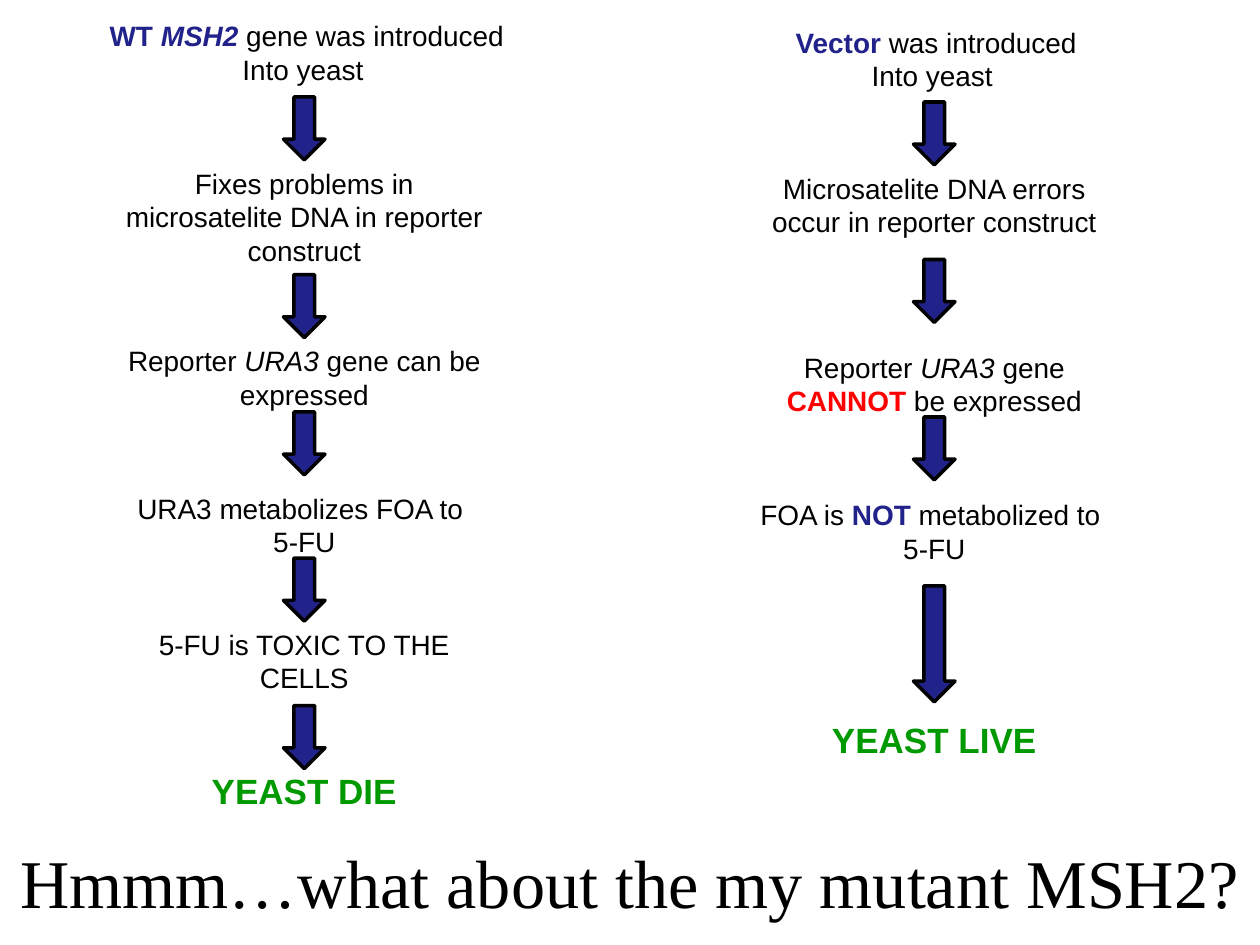
"""Build a slide comparing the yeast reporter assay with MSH2 and with the empty vector."""
from dataclasses import dataclass

from pptx import Presentation
from pptx.dml.color import RGBColor
from pptx.enum.shapes import MSO_SHAPE as Preset
from pptx.enum.text import MSO_ANCHOR as Anchor, MSO_AUTO_SIZE as AutoSize, PP_ALIGN as Align
from pptx.slide import Slide
from pptx.util import Inches, Pt

NAVY, BLACK, RED, GREEN = "22228B", "000000", "FF0000", "009900"
STEP_WIDTH, ARROW_WIDTH, ARROW_HEIGHT = 3.17, 0.33, 0.5


@dataclass(frozen=True)
class Phrase:
    text: str
    color: str = BLACK
    bold: bool = False
    italic: bool = False
    size: int = 16


@dataclass(frozen=True)
class Step:
    top: float
    lines: tuple[tuple[Phrase, ...], ...]
    height: float = 0.64
    width: float = STEP_WIDTH
    shift: float = 0
    wrap: bool = True


@dataclass(frozen=True)
class Arrow:
    top: float
    height: float = ARROW_HEIGHT


@dataclass(frozen=True)
class Pathway:
    left: float
    steps: tuple[Step, ...]
    arrows: tuple[Arrow, ...]


def outcome(top: float, text: str) -> Step:
    """Return the large green closing step."""
    return Step(top, ((Phrase(text, GREEN, bold=True, size=20),),), height=0.44)


URA3 = Phrase("URA3", italic=True)
INTO_YEAST = (Phrase("Into yeast "),)
PRODUCT = (Phrase("5-FU"),)

WILD_TYPE = Pathway(
    0.83,
    (
        Step(0.1, ((Phrase("WT ", NAVY, bold=True),
                    Phrase("MSH2", NAVY, bold=True, italic=True),
                    Phrase(" gene was introduced")), INTO_YEAST),
             width=3.33, shift=-0.06, wrap=False),
        Step(1.27, ((Phrase("Fixes problems in microsatelite DNA in reporter construct"),),),
             height=0.9),
        Step(2.68, ((Phrase("Reporter "), URA3, Phrase(" gene can be expressed")),)),
        Step(3.85, ((Phrase("URA3 metabolizes FOA to "),), PRODUCT)),
        Step(4.93, ((Phrase("5-FU is TOXIC TO THE CELLS"),),)),
        outcome(6.06, "YEAST DIE"),
    ),
    tuple(Arrow(top) for top in (0.77, 2.18, 3.27, 4.43, 5.6)),
)

VECTOR = Pathway(
    5.83,
    (
        Step(0.15, ((Phrase("Vector ", NAVY, bold=True), Phrase("was introduced")), INTO_YEAST),
             width=2.44, shift=0.38, wrap=False),
        Step(1.31, ((Phrase("Microsatelite DNA errors occur in reporter construct"),),)),
        Step(2.73, ((Phrase("Reporter "), URA3, Phrase(" gene "),
                     Phrase("CANNOT", RED, bold=True), Phrase(" be expressed")),)),
        Step(3.9, ((Phrase("FOA is "), Phrase("NOT", NAVY, bold=True),
                    Phrase(" metabolized to ")), PRODUCT)),
        outcome(5.65, "YEAST LIVE"),
    ),
    (Arrow(0.81), Arrow(2.06), Arrow(3.31), Arrow(4.65, 0.92)),
)


def rgb(color: str) -> RGBColor:
    """Convert a hex string to a colour."""
    return RGBColor.from_string(color)


def draw_question(slide: Slide, text: str) -> None:
    """Place the closing question in the title placeholder."""
    question = slide.shapes.title
    question.left, question.top = Inches(0), Inches(6.58)
    question.width, question.height = Inches(10), Inches(0.83)
    frame = question.text_frame
    frame.text = text
    frame.auto_size = AutoSize.NONE
    frame.vertical_anchor = Anchor.MIDDLE
    paragraph = frame.paragraphs[0]
    paragraph.alignment = Align.CENTER
    font = paragraph.runs[0].font
    font.name, font.size = "Times New Roman", Pt(39)
    font.color.rgb = rgb(BLACK)


def draw_step(slide: Slide, step: Step, left: float) -> None:
    """Write one step of a pathway as centred text."""
    frame = slide.shapes.add_textbox(
        Inches(left + step.shift), Inches(step.top), Inches(step.width), Inches(step.height)
    ).text_frame
    frame.word_wrap = step.wrap
    frame.auto_size = AutoSize.SHAPE_TO_FIT_TEXT
    for index, phrases in enumerate(step.lines):
        paragraph = frame.add_paragraph() if index else frame.paragraphs[0]
        paragraph.alignment = Align.CENTER
        for phrase in phrases:
            run = paragraph.add_run()
            run.text = phrase.text
            font = run.font
            font.name, font.size = "Arial", Pt(phrase.size)
            font.bold, font.italic = phrase.bold, phrase.italic
            font.color.rgb = rgb(phrase.color)


def draw_arrow(slide: Slide, arrow: Arrow, center: float) -> None:
    """Draw a block arrow pointing to the next step."""
    pointer = slide.shapes.add_shape(
        Preset.DOWN_ARROW, Inches(center - ARROW_WIDTH / 2), Inches(arrow.top),
        Inches(ARROW_WIDTH), Inches(arrow.height),
    )
    pointer.shadow.inherit = False
    pointer.fill.solid()
    pointer.fill.fore_color.rgb = rgb(NAVY)
    pointer.line.color.rgb = rgb(BLACK)
    pointer.line.width = Pt(2)


def draw_pathway(slide: Slide, pathway: Pathway) -> None:
    """Draw the steps of a pathway and the arrows between them."""
    for step in pathway.steps:
        draw_step(slide, step, pathway.left)
    for arrow in pathway.arrows:
        draw_arrow(slide, arrow, pathway.left + STEP_WIDTH / 2)


def main() -> None:
    """Create and save the presentation."""
    presentation = Presentation()
    presentation.slide_width, presentation.slide_height = Inches(10), Inches(7.5)
    slide = presentation.slides.add_slide(presentation.slide_layouts.get_by_name("Title Only"))
    draw_question(slide, "Hmmm…what about the my mutant MSH2?")
    for pathway in (WILD_TYPE, VECTOR):
        draw_pathway(slide, pathway)
    presentation.save("out.pptx")


if __name__ == "__main__":
    main()
